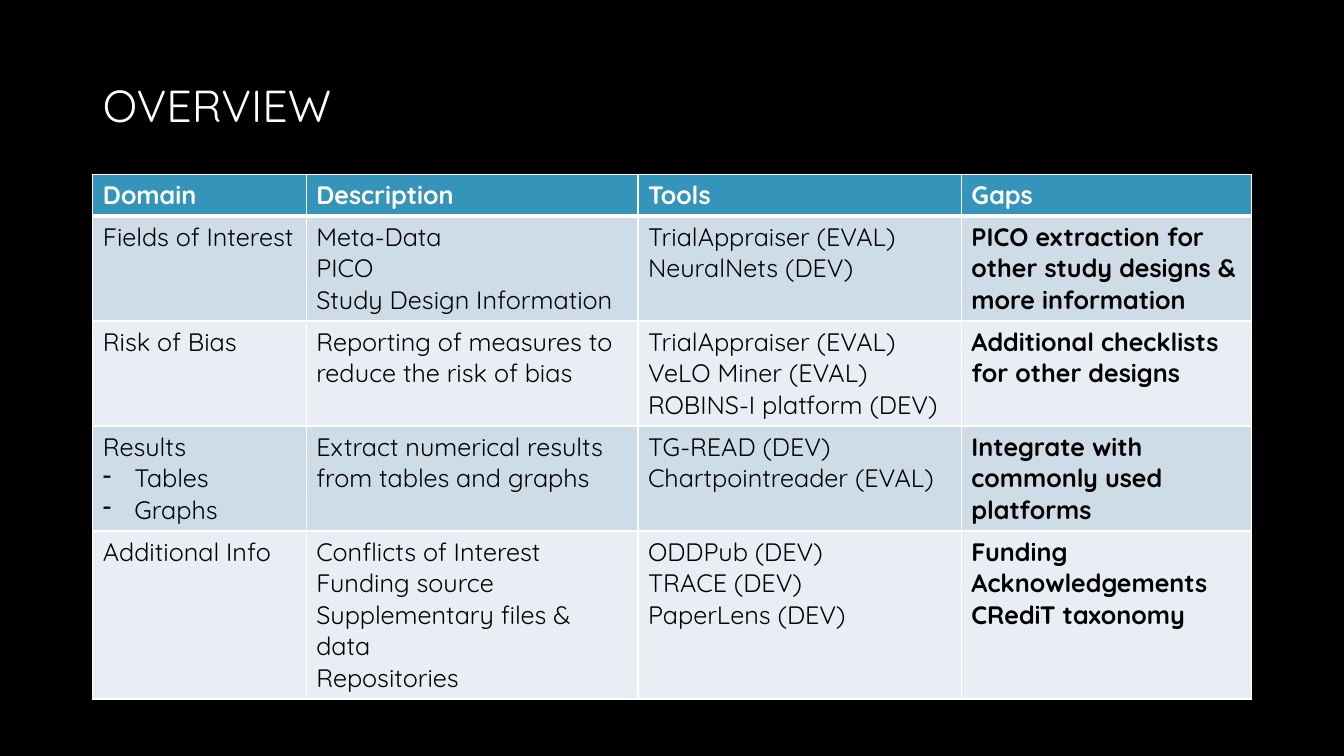
from pptx import Presentation
from pptx.dml.color import RGBColor
from pptx.enum.text import MSO_ANCHOR, PP_ALIGN
from pptx.oxml import parse_xml
from pptx.oxml.ns import nsdecls
from pptx.util import Pt

# Content: one list of paragraphs per cell; "- " starts a list item
TITLE = "OVERVIEW"
HEADINGS = ["Domain", "Description", "Tools", "Gaps"]
DOMAINS = [
    (["Fields of Interest"],
     ["Meta-Data", "PICO", "Study Design Information"],
     ["TrialAppraiser (EVAL)", "NeuralNets (DEV)"],
     ["PICO extraction for other study designs & more information"]),
    (["Risk of Bias"],
     ["Reporting of measures to reduce the risk of bias"],
     ["TrialAppraiser (EVAL)", "VeLO Miner (EVAL)", "ROBINS-I platform (DEV)"],
     ["Additional checklists for other designs"]),
    (["Results", "- Tables", "- Graphs"],
     ["Extract numerical results from tables and graphs"],
     ["TG-READ (DEV)", "Chartpointreader (EVAL)"],
     ["Integrate with commonly used platforms"]),
    (["Additional Info"],
     ["Conflicts of Interest", "Funding source", "Supplementary files & data",
      "Repositories"],
     ["ODDPub (DEV)", "TRACE (DEV)", "PaperLens (DEV)"],
     ["Funding", "Acknowledgements", "CRediT taxonomy"]),
]

# Format
FONT = "Quicksand"
BLACK = RGBColor(0x00, 0x00, 0x00)
WHITE = RGBColor(0xFF, 0xFF, 0xFF)
HEADER_BLUE = RGBColor(0x34, 0x94, 0xBA)
BANDS = [RGBColor(0xCE, 0xDC, 0xE7), RGBColor(0xE8, 0xEE, 0xF3)]
LEFT, TABLE_TOP = 66.24, 124.56
COLUMN_WIDTHS = [152.5, 237, 231, 207.5]
ROW_HEIGHTS = [29.5, 75, 75, 75, 120]
DASH_INDENT = Pt(22.5)


def write(frame, lines, size=18, color=BLACK, bold=False):
    """Fill a text frame with one paragraph per line."""
    for index, line in enumerate(lines):
        paragraph = frame.paragraphs[0] if index == 0 else frame.add_paragraph()
        paragraph.alignment = PP_ALIGN.LEFT
        run = paragraph.add_run()
        run.text = line.removeprefix("- ")
        run.font.name = FONT
        run.font.size = Pt(size)
        run.font.bold = bold
        run.font.color.rgb = color
        if line.startswith("- "):
            properties = paragraph._p.get_or_add_pPr()
            properties.set("marL", str(DASH_INDENT))
            properties.set("indent", str(-DASH_INDENT))
            properties.append(parse_xml(f'<a:buChar {nsdecls("a")} char="-"/>'))


def set_borders(cell, bottom=1, top=1):
    """Draw white lines on all four sides of a cell."""
    sides = [("L", 1), ("R", 1), ("T", top), ("B", bottom)]
    for position, (side, width) in enumerate(sides):
        line = parse_xml(
            f'<a:ln{side} {nsdecls("a")} w="{Pt(width)}"><a:solidFill>'
            f'<a:srgbClr val="{WHITE}"/></a:solidFill></a:ln{side}>')
        cell._tc.get_or_add_tcPr().insert(position, line)


# Slide
deck = Presentation()
deck.slide_width, deck.slide_height = Pt(960), Pt(540)
slide = deck.slides.add_slide(deck.slide_layouts[5])
slide.background.fill.solid()
slide.background.fill.fore_color.rgb = BLACK

# Title
title = slide.shapes.title
title.left, title.top, title.width, title.height = Pt(LEFT), Pt(0), Pt(780), Pt(150)
title.text_frame.vertical_anchor = MSO_ANCHOR.MIDDLE
write(title.text_frame, [TITLE], size=32, color=WHITE)

# Table
rows = [[[heading] for heading in HEADINGS], *DOMAINS]
overview = slide.shapes.add_table(
    len(rows), len(HEADINGS), Pt(LEFT), Pt(TABLE_TOP),
    Pt(sum(COLUMN_WIDTHS)), Pt(sum(ROW_HEIGHTS))).table
for column, width in zip(overview.columns, COLUMN_WIDTHS):
    column.width = Pt(width)
for row, height in zip(overview.rows, ROW_HEIGHTS):
    row.height = Pt(height)

for r, row in enumerate(rows):
    is_header = r == 0
    for c, lines in enumerate(row):
        cell = overview.cell(r, c)
        cell.fill.solid()
        cell.fill.fore_color.rgb = HEADER_BLUE if is_header else BANDS[(r - 1) % 2]
        set_borders(cell, bottom=3 if is_header else 1, top=3 if r == 1 else 1)
        write(cell.text_frame, lines, color=WHITE if is_header else BLACK,
              bold=is_header or HEADINGS[c] == "Gaps")

deck.save("out.pptx")
